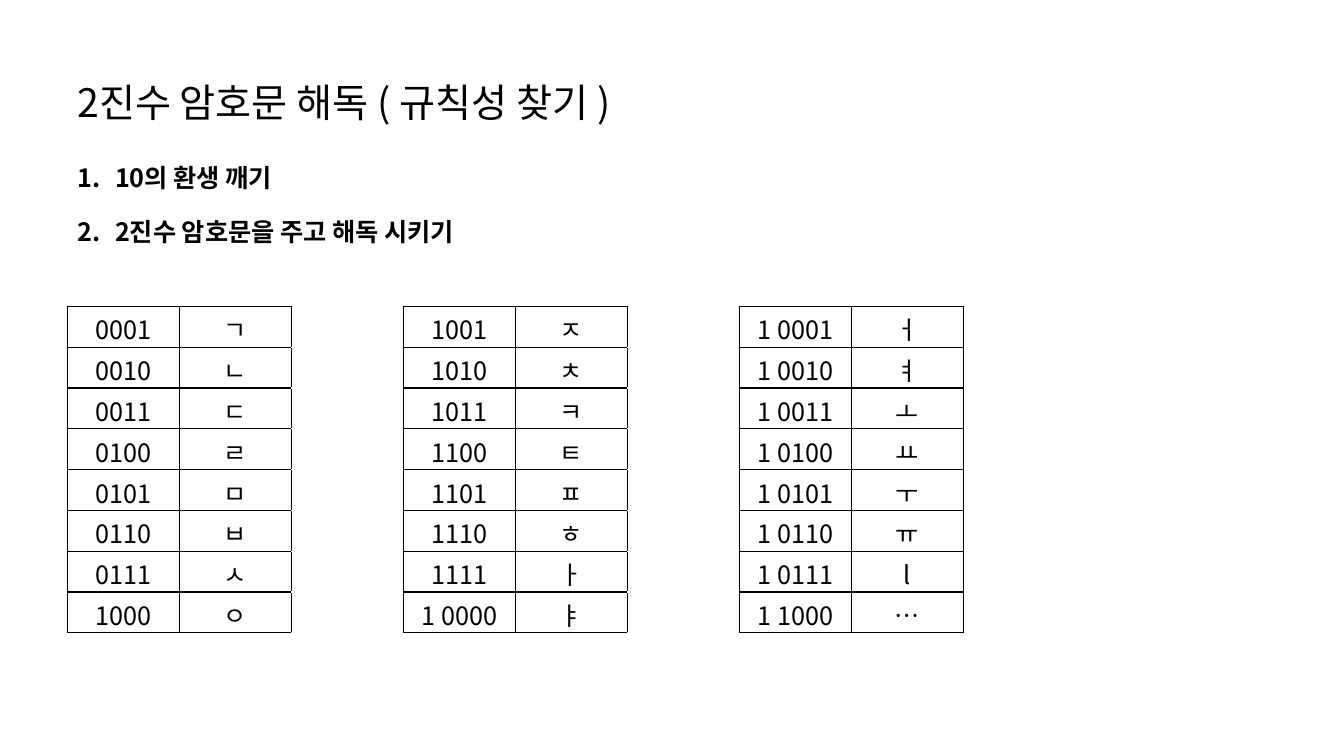
from dataclasses import dataclass

from lxml.etree import SubElement
from pptx import Presentation
from pptx.dml.color import RGBColor
from pptx.enum.text import MSO_ANCHOR, MSO_AUTO_SIZE, PP_ALIGN
from pptx.oxml.ns import qn
from pptx.util import Cm, Pt


@dataclass(frozen=True)
class Theme:
    font: str = "Noto Sans CJK KR"
    ink: RGBColor = RGBColor(0, 0, 0)
    paper: RGBColor = RGBColor(255, 255, 255)
    title: int = 28
    body: int = 18
    line: int = 1


THEME = Theme()
TITLE = "2진수 암호문 해독 ( 규칙성 찾기 )"
STEPS = ["10의 환생 깨기", "2진수 암호문을 주고 해독 시키기"]
SIGNS = "ㄱㄴㄷㄹㅁㅂㅅㅇㅈㅊㅋㅌㅍㅎㅏㅑㅓㅕㅗㅛㅜㅠl…"
ROWS = 8


def style(para, size, bold=False):
    for run in para.runs:
        font = run.font
        font.name, font.size, font.bold = THEME.font, Pt(size), bold
        font.color.rgb = THEME.ink
        SubElement(run._r.get_or_add_rPr(), qn("a:ea"), typeface=THEME.font)


def set_frame(frame, anchor):
    frame.word_wrap = True
    frame.auto_size = MSO_AUTO_SIZE.NONE
    frame.vertical_anchor = anchor
    frame.margin_left = frame.margin_right = Cm(0.25)
    frame.margin_top = frame.margin_bottom = 0


def add_title(slide, left, top, width, height):
    shape = slide.shapes.title
    shape.left, shape.top, shape.width, shape.height = left, top, width, height
    frame = shape.text_frame
    set_frame(frame, MSO_ANCHOR.MIDDLE)
    frame.text = TITLE
    para = frame.paragraphs[0]
    para.alignment, para.line_spacing = PP_ALIGN.LEFT, 1.0
    style(para, THEME.title)


def add_steps(slide, left, top, width, height):
    frame = slide.shapes.add_textbox(left, top, width, height).text_frame
    set_frame(frame, MSO_ANCHOR.TOP)
    frame.text = "\n".join(STEPS)
    for index, para in enumerate(frame.paragraphs):
        para.space_before = Pt(17 if index else 0)
        props = para._p.get_or_add_pPr()
        props.set("marL", str(Cm(0.95)))
        props.set("indent", str(-Cm(0.95)))
        SubElement(props, qn("a:buFont"), typeface=THEME.font)
        SubElement(props, qn("a:buAutoNum"), type="arabicPeriod")
        style(para, THEME.body, bold=True)


def add_edges(cell, sides):
    props = cell._tc.get_or_add_tcPr()
    for side in sides:
        line = SubElement(props, qn(f"a:ln{side}"), w=str(Pt(THEME.line)))
        fill = SubElement(line, qn("a:solidFill"))
        SubElement(fill, qn("a:srgbClr"), val=str(THEME.ink))


def to_code(number):
    """Return the binary form, with a space before the last four digits."""
    high, low = divmod(number, 16)
    return f"{high:b} {low:04b}" if high else f"{low:04b}"


def fill_cell(cell, text, sides):
    cell.margin_top, cell.margin_bottom = Cm(0.1), 0
    cell.vertical_anchor = MSO_ANCHOR.BOTTOM
    add_edges(cell, sides)
    cell.fill.solid()
    cell.fill.fore_color.rgb = THEME.paper
    cell.text_frame.text = text
    para = cell.text_frame.paragraphs[0]
    para.alignment = PP_ALIGN.CENTER
    style(para, THEME.body)


def add_codes(slide, left, top, width, height):
    """Place the code and sign pairs in blocks parted by an empty column."""
    cols = len(SIGNS) // ROWS * 3 - 1
    table = slide.shapes.add_table(ROWS, cols, left, top, width, height).table
    table.first_row = table.horz_banding = False
    for col in table.columns:
        col.width = width // cols
    for row in range(ROWS):
        table.rows[row].height = height // ROWS
        for col in range(cols):
            block, part = divmod(col, 3)
            if part == 2:
                text, sides = "", "LR"
            else:
                index = block * ROWS + row
                text, sides = (to_code(index + 1), SIGNS[index])[part], "LRTB"
            fill_cell(table.cell(row, col), text, sides)


def main():
    deck = Presentation()
    deck.slide_width, deck.slide_height = Cm(33.87), Cm(19.05)
    slide = deck.slides.add_slide(deck.slide_layouts[5])
    left = Cm(1.7)
    add_title(slide, left, Cm(1.83), Cm(27.58), Cm(1.45))
    add_steps(slide, left, Cm(4.09), Cm(16.94), Cm(2.57))
    add_codes(slide, left, Cm(7.72), Cm(22.58), Cm(8.23))
    deck.save("out.pptx")


if __name__ == "__main__":
    main()
